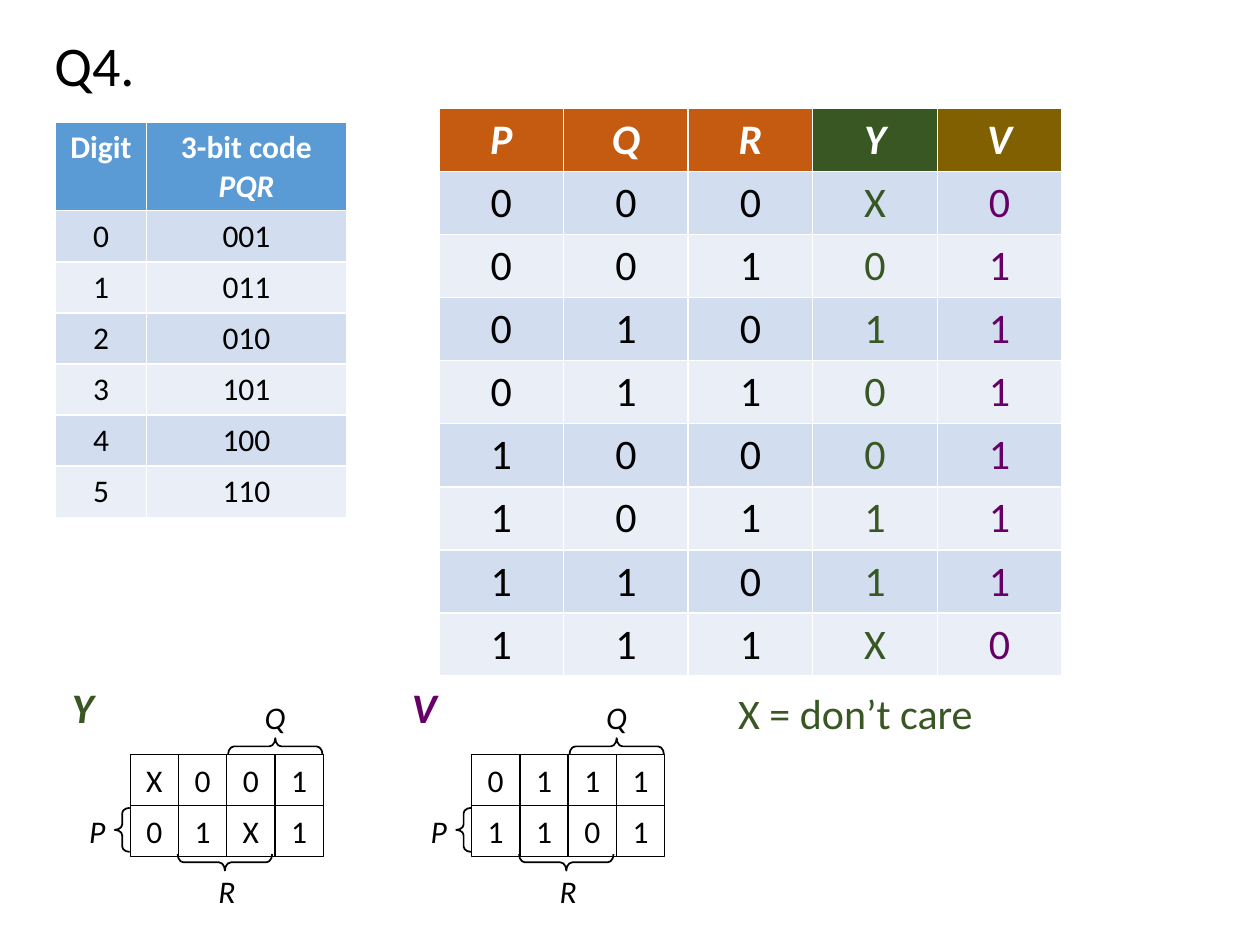
"""Build the Q4 slide: code table, truth table and two Karnaugh maps."""
from dataclasses import dataclass

from pptx import Presentation
from pptx import util as u
from pptx.dml import color
from pptx.enum import shapes, text


@dataclass(frozen=True)
class Theme:
    font: str = "Calibri"
    black: str = "000000"
    white: str = "FFFFFF"
    blue: str = "5B9BD5"
    orange: str = "C55A11"
    green: str = "385723"
    gold: str = "806000"
    purple: str = "660066"
    bands: tuple = ("D2DEEF", "EAEFF7")
    small: float = 18
    large: float = 24
    title: float = 32


@dataclass(frozen=True)
class Style:
    size: float
    ink: str = "000000"
    bold: bool = False
    slant: bool = False


@dataclass(frozen=True)
class Column:
    head: str
    width: float
    fill: str
    ink: str
    slant: bool = False
    tail: str = ""


@dataclass(frozen=True)
class Grid:
    left: float
    top: float
    height: float
    size: float
    cols: tuple
    rows: list


@dataclass(frozen=True)
class Map:
    name: str
    ink: str
    left: float
    bits: str


@dataclass(frozen=True)
class Side:
    name: str
    label: tuple
    brace: tuple
    turn: float


T = Theme()
CENTER = text.PP_ALIGN.CENTER
LEFT = text.PP_ALIGN.LEFT
TOP, WIDE, HIGH = 431.2, 27.6, 29.1
GRAY = ((0, 1, 3, 2), (4, 5, 7, 6))
SIDES = (
    Side("P", (-31, 29, 24.5, 29), (-8.9, 30.4, 8.6, 25.2), 180),
    Side("Q", (69.6, -36, 26.6, 29), (78.2, -31.7, 9.4, 54), 270),
    Side("R", (43, 63.4, 24.5, 29), (49.4, 34.6, 9.4, 54), 90),
)
YBITS, VBITS = "X010011X", "01111110"


def rgb(code: str) -> color.RGBColor:
    return color.RGBColor.from_string(code)


def paint(para, look: Style, align=CENTER) -> None:
    para.alignment = align
    for run in para.runs:
        font = run.font
        font.name, font.size = T.font, u.Pt(look.size)
        font.bold, font.italic = look.bold, look.slant
        font.color.rgb = rgb(look.ink)


def label(pool, box: tuple, words: str, look: Style, align=CENTER, wrap=True):
    frame = pool.add_textbox(*map(u.Pt, box)).text_frame
    frame.text = words
    frame.word_wrap = wrap
    paint(frame.paragraphs[0], look, align)
    return frame.paragraphs[0]


def outline(pool, kind, box: tuple, width: float):
    item = pool.add_shape(kind, *map(u.Pt, box))
    item.shadow.inherit = False
    item.fill.background()
    item.line.color.rgb = rgb(T.black)
    item.line.width = u.Pt(width)
    return item


def table(pool, grid: Grid) -> None:
    count = len(grid.rows) + 1
    wide = sum(col.width for col in grid.cols)
    box = map(u.Pt, (grid.left, grid.top, wide, grid.height * count))
    body = pool.add_table(count, len(grid.cols), *box).table
    for c, col in enumerate(grid.cols):
        body.columns[c].width = u.Pt(col.width)
        for r, words in enumerate([col.head] + [row[c] for row in grid.rows]):
            cell = body.cell(r, c)
            cell.fill.solid()
            cell.fill.fore_color.rgb = rgb(T.bands[(r - 1) % 2] if r else col.fill)
            para = cell.text_frame.paragraphs[0]
            para.text = words
            if r:
                paint(para, Style(grid.size, col.ink))
                continue
            if col.tail:
                para.add_run().text = col.tail
            paint(para, Style(grid.size, T.white, True, col.slant))
            if col.tail:
                para.runs[-1].font.italic = True
    for row in body.rows:
        row.height = u.Pt(grid.height)


def chart(pool, item: Map) -> None:
    group = pool.add_group_shape().shapes

    def place(box: tuple) -> tuple:
        return (item.left + box[0], TOP + box[1], *box[2:])

    label(group, place((-45, -45.2, 36, 36)), item.name,
          Style(T.large, item.ink, True, True))
    for side in SIDES:
        label(group, place(side.label), side.name,
              Style(T.small, slant=True), wrap=False)
    for r, line in enumerate(GRAY):
        for c, spot in enumerate(line):
            box = place((c * WIDE, r * HIGH, WIDE, HIGH))
            cell = outline(group, shapes.MSO_SHAPE.RECTANGLE, box, 0.75)
            frame = cell.text_frame
            frame.text = item.bits[spot]
            frame.vertical_anchor = text.MSO_ANCHOR.TOP
            paint(frame.paragraphs[0], Style(T.small))
    for side in SIDES:
        brace = outline(group, shapes.MSO_SHAPE.RIGHT_BRACE, place(side.brace), 1)
        brace.adjustments[0] = 0.36
        brace.rotation = side.turn


def main() -> None:
    deck = Presentation()
    deck.slide_width, deck.slide_height = u.Pt(720), u.Pt(540)
    pool = deck.slides.add_slide(deck.slide_layouts[6]).shapes

    title = label(pool, (24, 18, 111, 52), "Q4.", Style(T.title), LEFT)
    title.line_spacing = 0.9

    codes = ("001", "011", "010", "101", "100", "110")
    table(pool, Grid(31.8, 70, 29.2, T.small, (
        Column("Digit", 51.8, T.blue, T.black),
        Column("3-bit code ", 114.5, T.blue, T.black, tail="PQR"),
    ), [(str(i), code) for i, code in enumerate(codes)]))

    table(pool, Grid(250.9, 62, 36, T.large, (
        *(Column(name, 71.2, T.orange, T.black, True) for name in "PQR"),
        Column("Y", 71.2, T.green, T.green, True),
        Column("V", 71.2, T.gold, T.purple, True),
    ), [f"{i:03b}{YBITS[i]}{VBITS[i]}" for i in range(8)]))

    label(pool, (408.2, 389.5, 161.3, 36), "X = don’t care",
          Style(T.large, T.green))
    for item in (Map("Y", T.green, 74.4, YBITS), Map("V", T.purple, 269.5, VBITS)):
        chart(pool, item)
    deck.save("out.pptx")


main()
